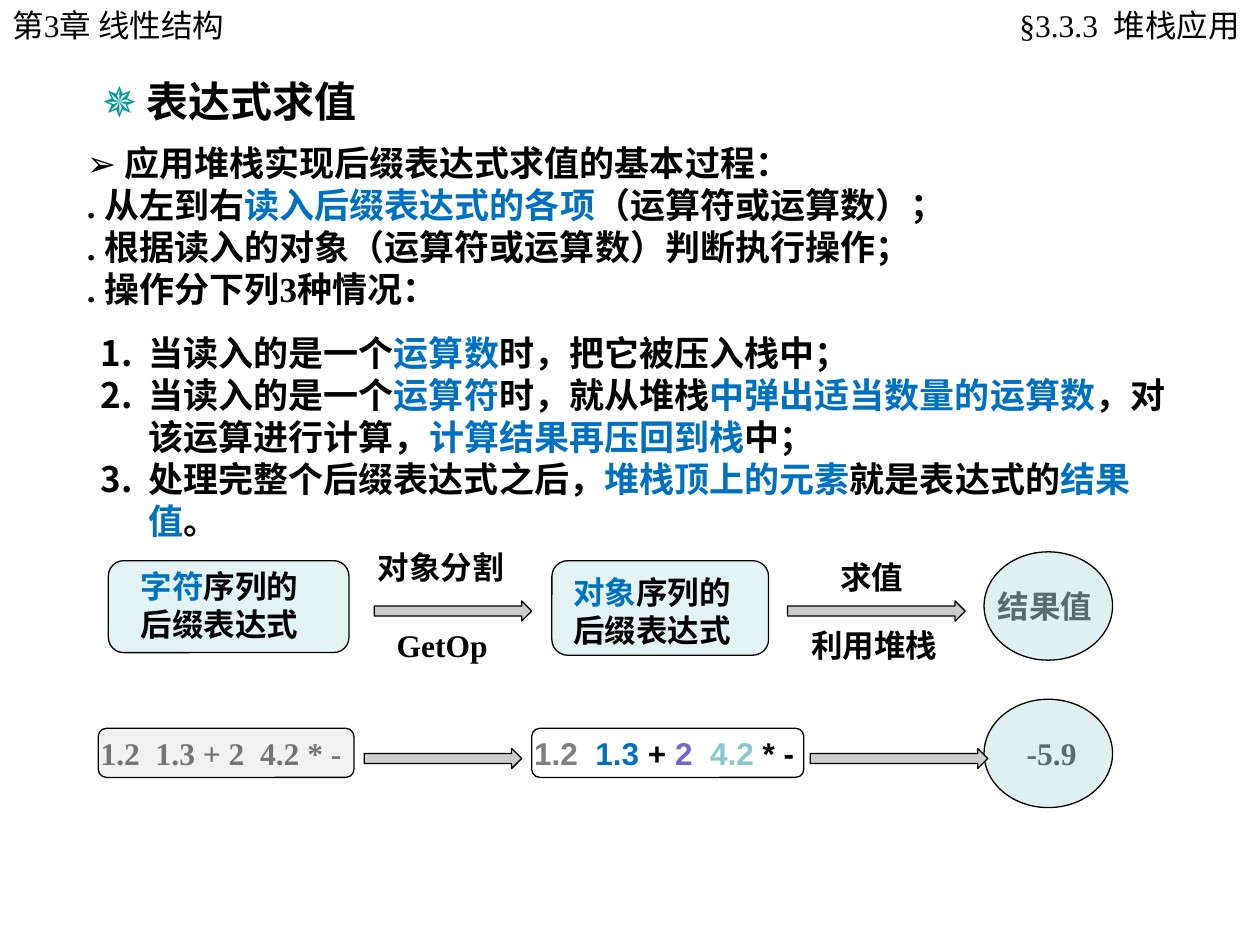
from dataclasses import dataclass
from typing import NamedTuple, Optional

from lxml.etree import SubElement
from pptx import Presentation
from pptx.dml.color import RGBColor
from pptx.enum.shapes import MSO_SHAPE
from pptx.enum.text import MSO_AUTO_SIZE, PP_ALIGN
from pptx.oxml.ns import qn
from pptx.util import Inches, Pt

# The slide is a grid of 100 columns by 75 rows.
COLUMNS, ROWS = 100, 75


@dataclass(frozen=True)
class Theme:
    ink: str = "000000"
    accent: str = "0070C0"
    star: str = "009999"
    aqua: str = "BBE0E3"
    pale: str = "E5E5E5"
    arrow: str = "CCCCCC"
    grey: str = "7F7F7F"
    violet: str = "6B6BCF"
    teal: str = "8AC6CD"
    serif: str = "Times New Roman"
    sans: str = "Arial"
    title: int = 24
    body: int = 20
    label: int = 18
    outline: float = 0.75


THEME = Theme()


class Area(NamedTuple):
    column: float
    row: float
    width: float
    height: float


class Span(NamedTuple):
    text: str
    color: str = THEME.ink
    font: str = THEME.serif
    bold: bool = True


class Node(NamedTuple):
    kind: MSO_SHAPE
    area: Area
    fill: Optional[str]
    opacity: int
    text_area: Area
    lines: list
    wrap: bool = True
    text_in_front: bool = False


def key(text: str) -> Span:
    return Span(text, THEME.accent)


def place(area: Area) -> tuple:
    across, down = deck.slide_width / COLUMNS, deck.slide_height / ROWS
    return (round(area.column * across), round(area.row * down),
            round(area.width * across), round(area.height * down))


def add_text(area: Area, lines: list, size: int = THEME.label, wrap: bool = True,
             align: PP_ALIGN = PP_ALIGN.LEFT, numbered: bool = False):
    box = slide.shapes.add_textbox(*place(area))
    frame = box.text_frame
    frame.word_wrap = wrap
    frame.auto_size = MSO_AUTO_SIZE.SHAPE_TO_FIT_TEXT
    for index, spans in enumerate(lines):
        para = frame.add_paragraph() if index else frame.paragraphs[0]
        para.alignment = align
        if numbered:
            add_number(para)
        for span in spans:
            run = para.add_run()
            run.text = span.text
            run.font.size = Pt(size)
            run.font.bold = span.bold
            run.font.name = span.font
            run.font.color.rgb = RGBColor.from_string(span.color)
    return box


def add_number(para) -> None:
    properties = para._p.get_or_add_pPr()
    properties.set("marL", str(Inches(0.38)))
    properties.set("indent", str(-Inches(0.38)))
    # Keep closing punctuation inside the text margin
    properties.set("hangingPunct", "0")
    color = SubElement(properties, qn("a:buClr"))
    SubElement(color, qn("a:srgbClr"), val=THEME.ink)
    SubElement(properties, qn("a:buAutoNum"), type="arabicPeriod")


def add_outlined(kind: MSO_SHAPE, area: Area, fill: Optional[str], opacity: int = 100) -> None:
    shape = slide.shapes.add_shape(kind, *place(area))
    shape.shadow.inherit = False
    shape.line.color.rgb = RGBColor.from_string(THEME.ink)
    shape.line.width = Pt(THEME.outline)
    if fill is None:
        shape.fill.background()
        return
    shape.fill.solid()
    shape.fill.fore_color.rgb = RGBColor.from_string(fill)
    if opacity < 100:
        color = shape._element.spPr.find(qn("a:solidFill")).find(qn("a:srgbClr"))
        SubElement(color, qn("a:alpha"), val=str(opacity * 1000))


def add_node(node: Node) -> None:
    if not node.text_in_front:
        add_text(node.text_area, node.lines, wrap=node.wrap)
    add_outlined(node.kind, node.area, node.fill, node.opacity)
    if node.text_in_front:
        add_text(node.text_area, node.lines, wrap=node.wrap)


deck = Presentation()
deck.slide_width, deck.slide_height = Inches(10), Inches(7.5)
slide = deck.slides.add_slide(deck.slide_layouts[6])

# Running heads and title
add_text(Area(0, 0, 20.9, 4), [[Span("第3章 线性结构", bold=False)]])
section = add_text(Area(78.4, 0, 21.6, 4), [[Span("§3.3.3  堆栈应用", bold=False)]],
                   align=PP_ALIGN.RIGHT)
section.text_frame.margin_left = Inches(0.12)
section.text_frame.margin_right = Inches(0.16)
add_text(Area(7.1, 5.5, 22.5, 5),
         [[Span("✵ ", THEME.star, THEME.sans, False), Span("表达式求值")]],
         THEME.title, wrap=False)

# Explanation
add_text(Area(5.9, 10.7, 83.9, 14.4), [
    [Span("➢ ", font=THEME.sans), Span("应用堆栈实现后缀表达式求值的基本过程：")],
    [Span(". 从左到右"), key("读入后缀表达式的各项"), Span("（运算符或运算数）；")],
    [Span(". 根据读入的对象（运算符或运算数）判断执行操作；")],
    [Span(". 操作分下列3种情况：")],
], THEME.body)
add_text(Area(7, 25.8, 87.5, 14.4), [
    [Span("当读入的是一个"), key("运算数"), Span("时，把它被压入栈中；")],
    [Span("当读入的是一个"), key("运算符"), Span("时，就从堆栈"),
     key("中弹出适当数量的运算数"), Span("，对该运算进行计算，"),
     key("计算结果再压回到栈"), Span("中；")],
    [Span("处理完整个后缀表达式之后，"), key("堆栈顶上的元素"),
     Span("就是表达式的"), key("结果值"), Span("。")],
], THEME.body, numbered=True)

# Stages of the flow, with the worked example below
BOX, CIRCLE = MSO_SHAPE.ROUNDED_RECTANGLE, MSO_SHAPE.OVAL
SUFFIX = [Span("后缀表达式")]
TOKENS = [("1.2  ", THEME.grey), ("1.3", THEME.accent), (" + ", THEME.ink),
          ("2  ", THEME.violet), ("4.2", THEME.teal), (" * -", THEME.ink)]
NODES = [
    Node(BOX, Area(8.6, 44.5, 19.1, 7.3), THEME.aqua, 41, Area(10.2, 44.5, 16.4, 7),
         [[key("字符"), Span("序列的")], SUFFIX], text_in_front=True),
    Node(BOX, Area(43.8, 44.5, 17.2, 7.5), THEME.aqua, 41, Area(44.5, 45, 15.4, 7),
         [[key("对象"), Span("序列的")], SUFFIX], text_in_front=True),
    Node(CIRCLE, Area(78.1, 43.8, 10.2, 8.6), THEME.aqua, 48, Area(78.2, 46.1, 9.5, 4),
         [[Span("结果值")]], wrap=False),
    Node(BOX, Area(7.8, 57.8, 20.3, 3.9), THEME.pale, 51, Area(7, 57.8, 21.9, 4),
         [[Span("1.2  1.3 + 2  4.2 * -")]]),
    Node(BOX, Area(42.2, 57.8, 21.6, 3.9), None, 100, Area(41.4, 57.8, 24.2, 4),
         [[Span(text, color, THEME.sans) for text, color in TOKENS]]),
    Node(CIRCLE, Area(78.1, 55.5, 10.2, 8.6), THEME.aqua, 48, Area(80.5, 57.8, 6.5, 4),
         [[Span("-5.9")]], wrap=False),
]
for stage in NODES:
    add_node(stage)

# Arrows: column, row, width
for column, row, width in [(29.7, 47.7, 12.5), (62.5, 47.7, 14.1),
                           (28.9, 59.4, 12.5), (64.3, 59.4, 14.1)]:
    add_outlined(MSO_SHAPE.RIGHT_ARROW, Area(column, row, width, 1.6), THEME.arrow)

# Arrow labels: text, column, row, width
for text, column, row, width in [("对象分割", 29, 43, 12), ("GetOp", 30.5, 49.2, 9.2),
                                 ("求值", 65.7, 43.8, 7), ("利用堆栈", 63.4, 49.2, 12)]:
    add_text(Area(column, row, width, 4), [[Span(text)]], wrap=False)

deck.save("out.pptx")
